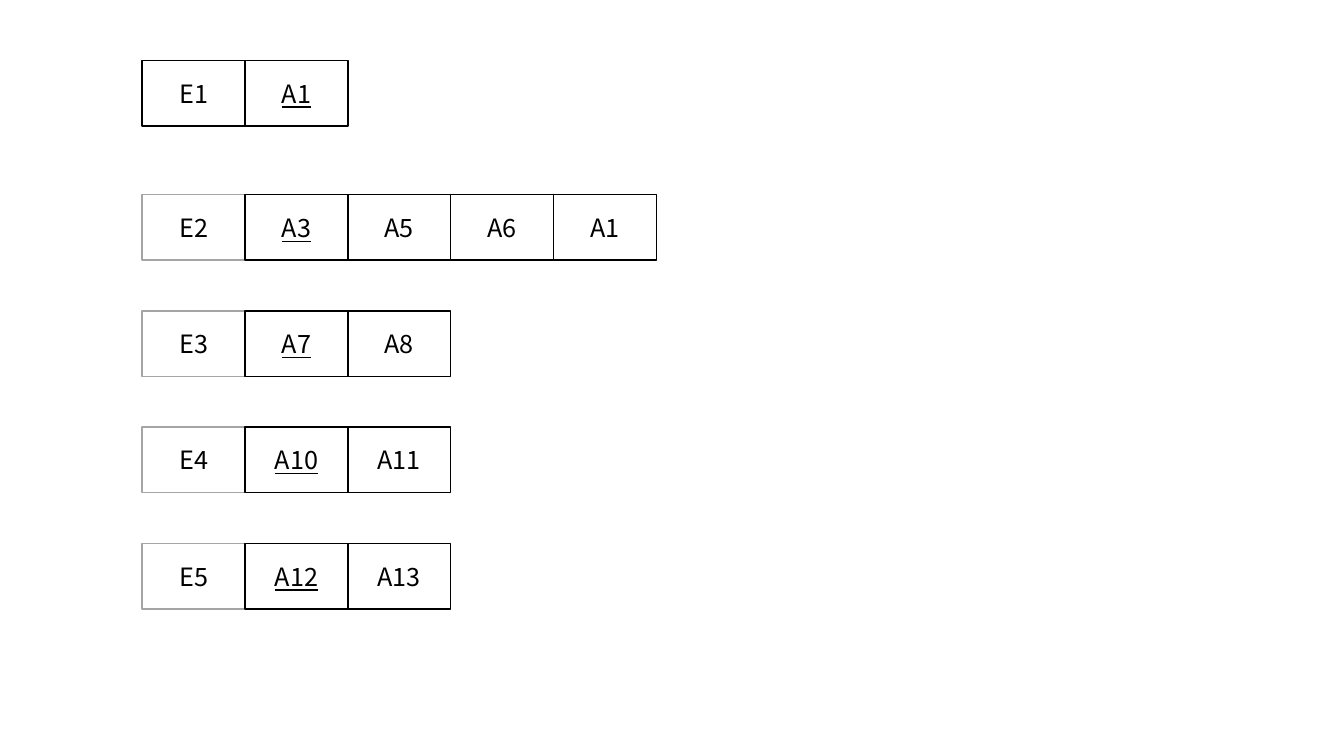
from pptx import Presentation
from pptx.dml.color import RGBColor
from pptx.enum.shapes import MSO_SHAPE as Preset
from pptx.enum.text import MSO_ANCHOR as Anchor, PP_ALIGN as Align
from pptx.util import Inches, Pt

FONT = "Noto Sans CJK SC"
BLACK, GREY, WHITE = "000000", "A5A5A5", "FFFFFF"
LEFT, CELL_WIDTH, CELL_HEIGHT = 1.41, 1.02, 0.65
FIRST_TOP, SECOND_TOP, LAST_TOP = 0.6, 1.93, 5.39

# Entity name, entity outline, attributes (the first one is the key)
RELATIONS = [
    ("E1", BLACK, ["A1"]),
    ("E2", GREY, ["A3", "A5", "A6", "A1"]),
    ("E3", GREY, ["A7", "A8"]),
    ("E4", GREY, ["A10", "A11"]),
    ("E5", GREY, ["A12", "A13"]),
]


def color(value):
    """Turn a hex string into a colour."""
    return RGBColor.from_string(value)


def add_cell(slide, left, top, text, outline, is_key=False):
    """Draw one cell of a relation; a key is underlined."""
    shape = slide.shapes.add_shape(
        Preset.RECTANGLE, Inches(left), Inches(top),
        Inches(CELL_WIDTH), Inches(CELL_HEIGHT))
    shape.shadow.inherit = False
    shape.fill.solid()
    shape.fill.fore_color.rgb = color(WHITE)
    shape.line.color.rgb = color(outline)
    shape.line.width = Pt(1)
    shape.text_frame.vertical_anchor = Anchor.MIDDLE
    paragraph = shape.text_frame.paragraphs[0]
    paragraph.alignment = Align.CENTER
    run = paragraph.add_run()
    run.text = text
    run.font.name = FONT
    run.font.size = Pt(18)
    run.font.color.rgb = color(BLACK)
    if is_key:
        run.font.underline = True


def add_relation(slide, left, top, entity, outline, attributes):
    """Draw the entity cell followed by its attribute cells."""
    add_cell(slide, left, top, entity, outline)
    for column, attribute in enumerate(attributes, start=1):
        add_cell(slide, left + column * CELL_WIDTH, top, attribute, BLACK,
                 is_key=column == 1)


def add_schema(slide, left):
    """Stack the relations: the first set apart, the others evenly spaced."""
    row_pitch = (LAST_TOP - SECOND_TOP) / (len(RELATIONS) - 2)
    for row, relation in enumerate(RELATIONS):
        top = SECOND_TOP + (row - 1) * row_pitch if row else FIRST_TOP
        add_relation(slide, left, top, *relation)


presentation = Presentation()
presentation.slide_width = Inches(13.33)
presentation.slide_height = Inches(7.5)
blank_layout = presentation.slide_layouts[6]
add_schema(presentation.slides.add_slide(blank_layout), LEFT)
presentation.save("out.pptx")
